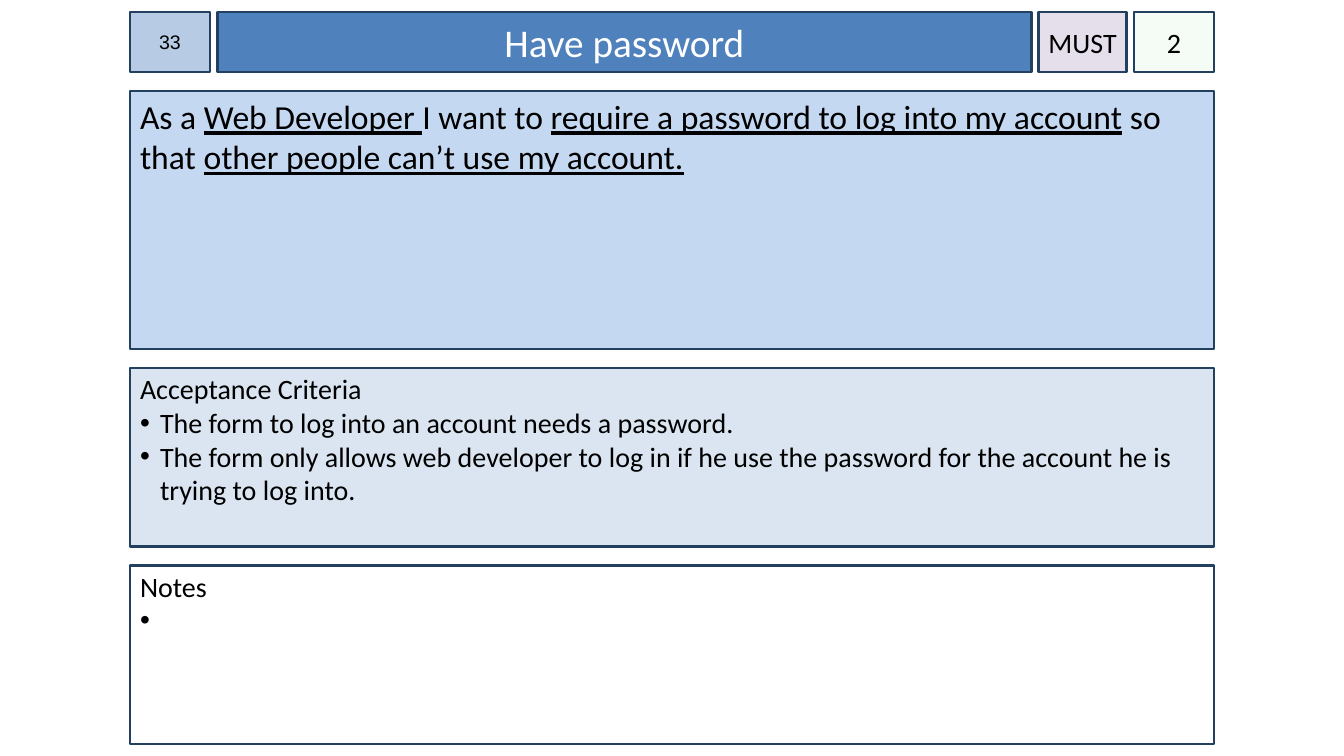
from lxml.etree import SubElement
from pptx import Presentation
from pptx.dml.color import RGBColor
from pptx.enum.shapes import MSO_SHAPE
from pptx.enum.text import MSO_ANCHOR, MSO_AUTO_SIZE, PP_ALIGN
from pptx.oxml.ns import qn
from pptx.util import Pt

SCALE = 914400 / 100.8
BORDER, BLACK, WHITE = "244061", "000000", "FFFFFF"


def px(n):
    """Turn pixels into EMU."""
    return round(n * SCALE)


def color(value):
    """Turn a hex string into a colour."""
    return RGBColor.from_string(value)


def set_all(obj, **values):
    """Set attributes of an object from format values."""
    for name, value in values.items():
        setattr(obj, name, value)


def style_box(sp, box, fill, inset=(10, 5), anchor=MSO_ANCHOR.TOP, opacity=100):
    """Place and format a bordered box and return its text frame."""
    set_all(sp, **dict(zip(("left", "top", "width", "height"), map(px, box))))
    sp.fill.solid()
    sp.fill.fore_color.rgb = color(fill)
    if opacity < 100:
        clr = sp.fill._xPr.find(".//" + qn("a:srgbClr"))
        SubElement(clr, qn("a:alpha"), val=str(opacity * 1000))
    sp.line.color.rgb = color(BORDER)
    sp.line.width = Pt(2)
    sp.shadow.inherit = False
    side, top = inset
    set_all(sp.text_frame, word_wrap=True, auto_size=MSO_AUTO_SIZE.NONE,
            vertical_anchor=anchor, margin_left=px(side), margin_right=px(side),
            margin_top=px(top), margin_bottom=px(5))
    return sp.text_frame


def add_box(s, box, fill, **options):
    """Add a bordered rectangle and return its text frame."""
    sp = s.shapes.add_shape(MSO_SHAPE.RECTANGLE, *map(px, box))
    return style_box(sp, box, fill, **options)


def add_run(p, text, size, font="Calibri", ink=BLACK, underline=False):
    """Add a formatted run to a paragraph."""
    r = p.add_run()
    r.text = text
    set_all(r.font, name=font, size=Pt(size), underline=underline)
    r.font.color.rgb = color(ink)


def add_bullet(p):
    """Give a paragraph a hanging round bullet."""
    pPr = p._p.get_or_add_pPr()
    pPr.set("marL", str(px(20)))
    pPr.set("indent", str(-px(20)))
    clr = SubElement(pPr, qn("a:buClr"))
    SubElement(clr, qn("a:srgbClr"), val=BLACK)
    SubElement(pPr, qn("a:buFont"), typeface="Arial")
    SubElement(pPr, qn("a:buChar"), char="•")


def header(s, box, number, title, priority, points):
    """Fill the header row with number, title, priority and points."""
    x, y, w, h = box
    cells = [
        (number, 80, "B7CCE4", 100, dict(size=14, font="Arial")),
        (title, 814, "4F81BD", 100, dict(size=28, ink=WHITE)),
        (priority, 88, "E5DFEC", 100, dict(size=20)),
        (points, 80, "CCF0CD", 20, dict(size=20)),
    ]
    gap = (w - sum(cell[1] for cell in cells)) / (len(cells) - 1)
    for text, width, fill, opacity, font in cells:
        place = (x, y, width, h)
        options = dict(anchor=MSO_ANCHOR.MIDDLE, opacity=opacity)
        if text == title:
            tf = style_box(s.shapes.title, place, fill, **options)
        else:
            tf = add_box(s, place, fill, inset=(0, 5), **options)
        p = tf.paragraphs[0]
        p.alignment = PP_ALIGN.CENTER
        add_run(p, text, **font)
        x += width + gap


def story(s, box, parts):
    """Write the user story, underlining every second part."""
    p = add_box(s, box, "C5D8F1").paragraphs[0]
    p.alignment = PP_ALIGN.LEFT
    for i, text in enumerate(parts):
        add_run(p, text, 24, underline=i % 2 == 1)


def bullet_panel(s, box, fill, heading, items):
    """Write a heading with a bullet list below it."""
    tf = add_box(s, box, fill, inset=(10, 4))
    for i, text in enumerate([heading, *items]):
        p = tf.add_paragraph() if i else tf.paragraphs[0]
        p.alignment = PP_ALIGN.LEFT
        if i:
            add_bullet(p)
        add_run(p, text, 20)


def story_card(s, box):
    """Stack the header and the three panels of the card."""
    x, y, w, h = box
    gap, header_h, story_h = 19, 60, 258
    panel_h = (h - header_h - story_h - 3 * gap) / 2
    header(s, (x, y, w, header_h), "33", "Have password", "MUST", "2")
    y += header_h + gap
    story(s, (x, y, w, story_h), [
        "As a ", "Web Developer ", "I want to ",
        "require a password to log into my account", " so that ",
        "other people can’t use my account."])
    y += story_h + gap
    bullet_panel(s, (x, y, w, panel_h), "DAE5F1", "Acceptance Criteria", [
        "The form to log into an account needs a password.",
        "The form only allows web developer to log in if he use the password "
        "for the account he is trying to log into."])
    y += panel_h + gap
    bullet_panel(s, (x, y, w, panel_h), WHITE, "Notes", [" "])


prs = Presentation()
set_all(prs, slide_width=px(1344), slide_height=px(756))
story_card(prs.slides.add_slide(prs.slide_layouts[5]), (130, 12, 1084, 732))
prs.save("out.pptx")
